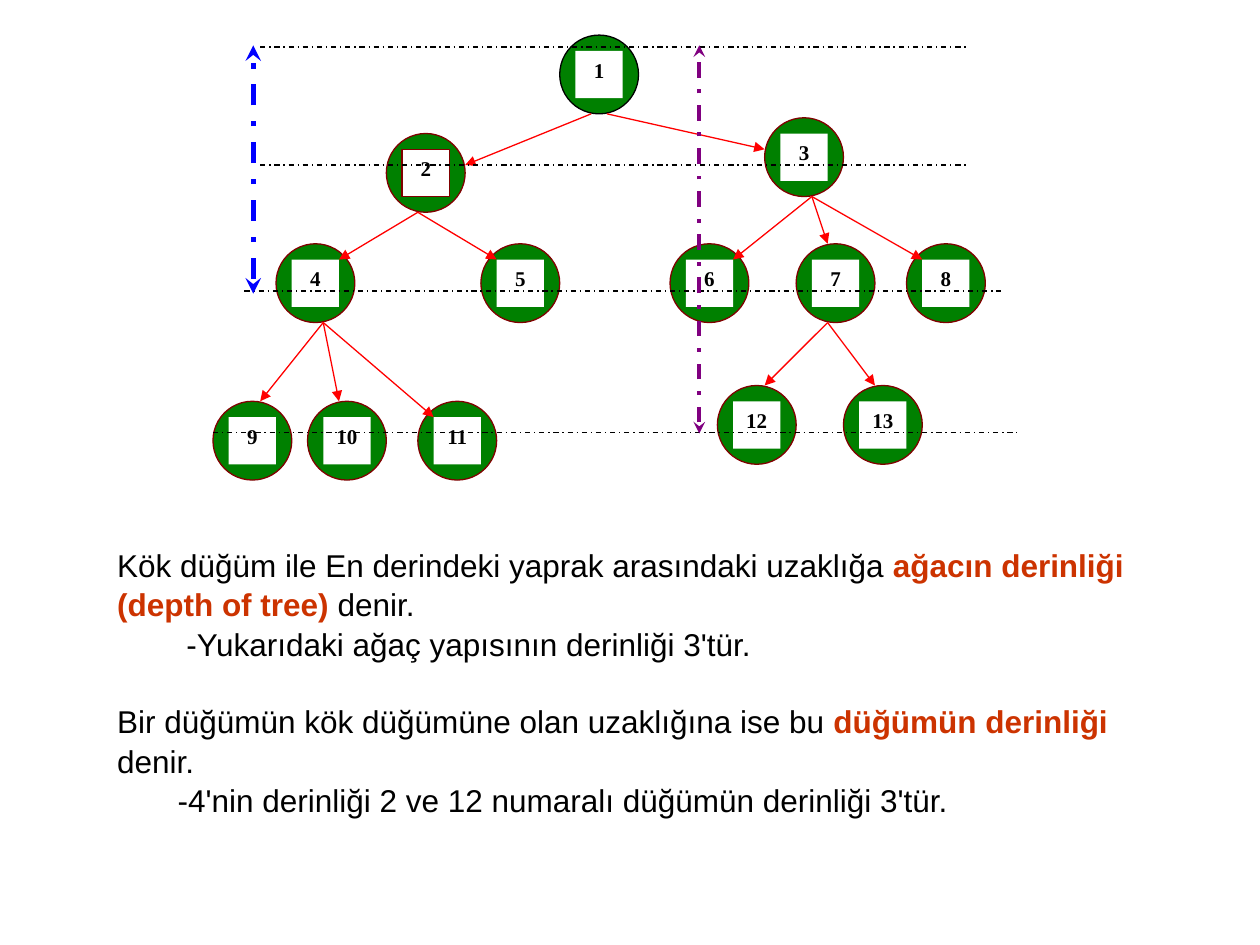
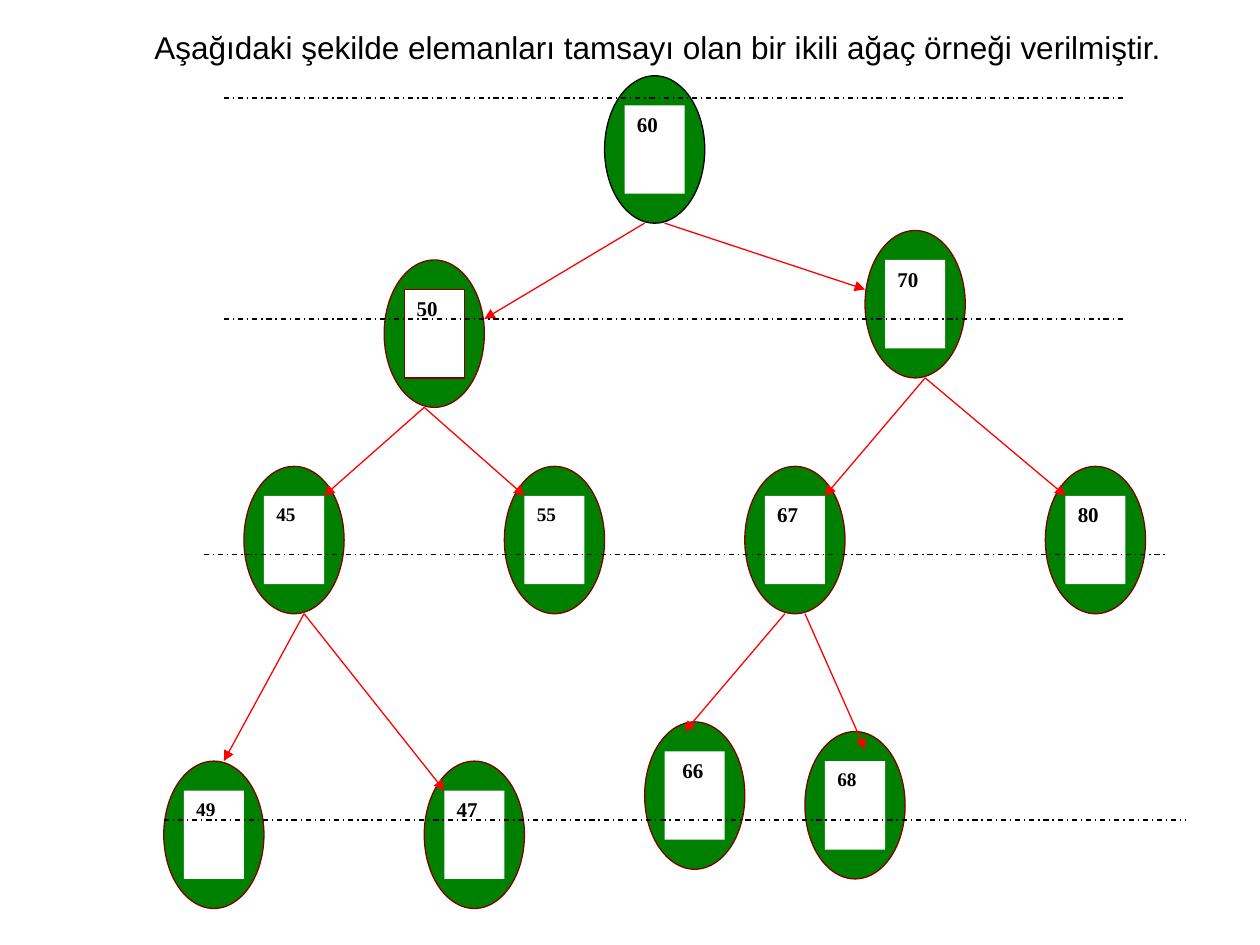
import pptx
import pptx.dml.color
import pptx.enum.dml
import pptx.enum.shapes
import pptx.enum.text
import pptx.oxml
import pptx.oxml.ns
import pptx.util

Inches = pptx.util.Inches
Pt = pptx.util.Pt
DASH = pptx.enum.dml.MSO_LINE.DASH_DOT
SHAPES = pptx.enum.shapes.MSO_SHAPE
ALIGN = pptx.enum.text.PP_ALIGN
ANCHOR = pptx.enum.text.MSO_ANCHOR

COLOURS = {
    "text": "000000",
    "accent": "CC3300",
    "node": "008000",
    "outline": "800000",
    "label": "FFFFFF",
    "branch": "FF0000",
    "level": "000000",
    "node_depth": "0000FF",
    "tree_depth": "800080",
}
BODY_FONT = "Arial"
LABEL_FONT = "Times New Roman"

# Both trees share one grid; a node is 5 x 5 cells with a 3 x 3 label inside.
GRID_COLUMNS, GRID_ROWS = 51, 28
NODE_CELLS, LABEL_CELLS = 5, 3
ROOT_SLOT, LEFT_CHILD_SLOT = (22, -0.25), (11, 6)
SHARED_SLOTS = [ROOT_SLOT, LEFT_CHILD_SLOT, (35, 5), (4, 13), (17, 13),
                (29, 13), (44, 13), (0, 23), (13, 23)]
SHARED_BRANCHES = [
    ((24, 4.75), [(16, 8)]),
    ((25, 4.75), [(35, 7)]),
    ((13, 11), [(8, 14), (18, 14)]),
    ((38, 10), [(33, 14), (45, 14)]),
    ((7, 18), [(3, 23), (14, 24)]),
]
LEVELS = [(3, 48, 0.5), (3, 48, 8), (2, 50, 16), (0, 51, 25)]


def rgb(name):
    return pptx.dml.color.RGBColor.from_string(COLOURS[name])


def add_text(para, text, size=18, font=BODY_FONT, colour="text", bold=False):
    span = para.add_run()
    span.text = text
    span.font.size = Pt(size)
    span.font.name = font
    span.font.bold = bold
    span.font.color.rgb = rgb(colour)


def place(shape, box):
    shape.left, shape.top, shape.width, shape.height = map(Inches, box)


def add_figure(page, kind, box, fill, outline=None):
    shape = page.shapes.add_shape(kind, *map(Inches, box))
    shape.shadow.inherit = False
    shape.fill.solid()
    shape.fill.fore_color.rgb = rgb(fill)
    if outline:
        shape.line.color.rgb = rgb(outline)
        shape.line.width = Pt(0.75)
    else:
        shape.line.fill.background()
    return shape


def add_line(page, start, end, colour, width=0.75, dash=None, head=None, tail=None):
    line = page.shapes.add_connector(
        pptx.enum.shapes.MSO_CONNECTOR.STRAIGHT, *map(Inches, (*start, *end)))
    line.line.color.rgb = rgb(colour)
    line.line.width = Pt(width)
    if dash:
        line.line.dash_style = dash
    outline = line.line._get_or_add_ln()
    for tag, arrow in (("a:headEnd", head), ("a:tailEnd", tail)):
        if arrow:
            end_mark = pptx.oxml.parse_xml(
                f'<{tag} {pptx.oxml.ns.nsdecls("a")} type="{arrow}"/>')
            outline.append(end_mark)
    effects = pptx.oxml.parse_xml(f'<a:effectLst {pptx.oxml.ns.nsdecls("a")}/>')
    line._element.spPr.append(effects)


def draw_tree(page, box, nodes, branches, align, label_sizes=None, label_indents=None):
    """Fit the shared grid into box; nodes are (slot, label), branches (start, ends)."""
    left, top, width, height = box
    cell_width, cell_height = width / GRID_COLUMNS, height / GRID_ROWS

    def point(column, row):
        return left + column * cell_width, top + row * cell_height

    def square(column, row, cells):
        return *point(column, row), cells * cell_width, cells * cell_height

    for slot, label in nodes:
        column, row = slot
        add_figure(page, SHAPES.OVAL, square(column, row, NODE_CELLS), "node",
                   "text" if slot == ROOT_SLOT else "outline")
        plate = add_figure(page, SHAPES.RECTANGLE,
                           square(column + 1, row + 1, LABEL_CELLS), "label",
                           "outline" if slot == LEFT_CHILD_SLOT else None)
        frame = plate.text_frame
        frame.word_wrap = False
        frame.vertical_anchor = ANCHOR.TOP
        frame.margin_left = Inches(0.1 + (label_indents or {}).get(label, 0))
        para = frame.paragraphs[0]
        para.alignment = align
        add_text(para, label, size=(label_sizes or {}).get(label, 12),
                 font=LABEL_FONT, bold=True)

    for start, ends in branches:
        for end in ends:
            add_line(page, point(*start), point(*end), "branch", tail="triangle")
    for first, last, row in LEVELS:
        add_line(page, point(first, row), point(last, row), "level", dash=DASH)


def fill_definitions(body, box):
    """Write the definitions, each followed by an indented example."""
    place(body, box)
    frame = body.text_frame
    frame.word_wrap = True
    frame.auto_size = pptx.enum.text.MSO_AUTO_SIZE.NONE
    frame.vertical_anchor = ANCHOR.MIDDLE
    # Indent in inches, space before in points, spans of (text, is a term)
    paragraphs = [
        (0, 0, [("Kök düğüm ile En derindeki yaprak arasındaki uzaklığa ", False),
                ("ağacın derinliği (depth of tree)", True), (" denir.", False)]),
        (0.55, 0, [("-Yukarıdaki ağaç yapısının derinliği 3'tür.", False)]),
        (0, 22, [("Bir düğümün kök düğümüne olan uzaklığına ise bu ", False),
                 ("düğümün derinliği", True), (" denir.", False)]),
        (0.48, 0, [("-4'nin derinliği 2 ve 12 numaralı düğümün derinliği 3'tür.", False)]),
    ]
    for index, (indent, space, spans) in enumerate(paragraphs):
        para = frame.add_paragraph() if index else frame.paragraphs[0]
        properties = para._p.get_or_add_pPr()
        properties.set("marL", str(Inches(indent)))
        properties.set("indent", "0")
        properties.append(pptx.oxml.parse_xml(
            f'<a:buNone {pptx.oxml.ns.nsdecls("a")}/>'))
        para.alignment = ALIGN.LEFT
        para.line_spacing = 1.04
        para.space_before = Pt(space)
        for text, is_term in spans:
            add_text(para, text, colour="accent" if is_term else "text", bold=is_term)


def fill_title(title, box, text):
    place(title, box)
    frame = title.text_frame
    frame.word_wrap = True
    frame.auto_size = pptx.enum.text.MSO_AUTO_SIZE.NONE
    frame.vertical_anchor = ANCHOR.TOP
    para = frame.paragraphs[0]
    para.alignment = ALIGN.CENTER
    para.line_spacing = 0.9
    add_text(para, text)


def build_depth_page(deck):
    page = deck.slides.add_slide(deck.slide_layouts[1])
    title = page.shapes.title._element
    title.getparent().remove(title)
    labels = ["1", "2", "3", "4", "5", "6", "8", "9", "11"]
    nodes = [*zip(SHARED_SLOTS, labels),
             ((37, 13), "7"), ((32, 22), "12"), ((40, 22), "13"), ((6, 23), "10")]
    branches = SHARED_BRANCHES + [
        ((38, 10), [(39, 13)]),
        ((7, 18), [(8, 23)]),
        ((39, 18), [(35, 22), (42, 22)]),
    ]
    draw_tree(page, (1.69, 0.31, 6.38, 3.5), nodes, branches, ALIGN.CENTER)
    fill_definitions(page.placeholders[1], (0.83, 4.31, 8.74, 2.2))
    for x, bottom, colour, width in ((2.01, 2.33, "node_depth", 3),
                                     (5.55, 3.44, "tree_depth", 2.25)):
        add_line(page, (x, bottom), (x, 0.36), colour, width, DASH, "stealth", "stealth")


def build_binary_tree_page(deck):
    page = deck.slides.add_slide(deck.slide_layouts[5])
    labels = ["60", "50", "70", "45", "55", "67", "80", "49", "47"]
    nodes = [*zip(SHARED_SLOTS, labels), ((32, 22), "68"), ((24, 21.67), "66")]
    branches = SHARED_BRANCHES + [((32, 18), [(35, 22.6)]), ((31, 18), [(26, 22)])]
    draw_tree(page, (1.3, 0.66, 8.11, 6.55), nodes, branches, ALIGN.LEFT,
              label_sizes=dict.fromkeys(["45", "55", "49", "68"], 11),
              label_indents={"66": 0.04})
    fill_title(page.shapes.title, (0.87, 0.21, 8.7, 0.37),
               "Aşağıdaki şekilde elemanları tamsayı olan bir ikili ağaç örneği verilmiştir.")


def main():
    deck = pptx.Presentation()
    deck.slide_width, deck.slide_height = Inches(10), Inches(7.5)
    build_depth_page(deck)
    build_binary_tree_page(deck)
    deck.save("out.pptx")


if __name__ == "__main__":
    main()
